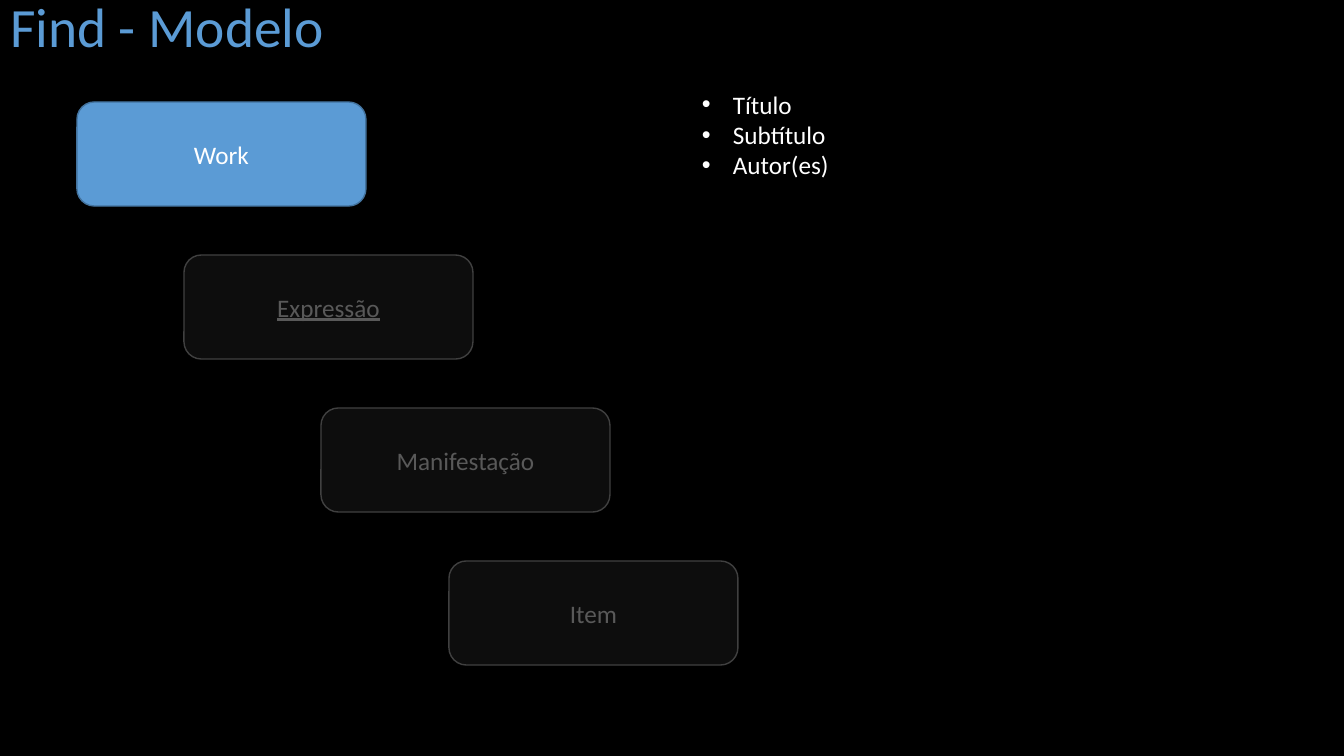
from pptx import Presentation
from pptx.dml.color import RGBColor
from pptx.enum.shapes import MSO_SHAPE
from pptx.enum.text import MSO_ANCHOR, MSO_AUTO_SIZE, PP_ALIGN
from pptx.util import Pt
from lxml.etree import SubElement
from pptx.oxml.ns import qn

PX = 914400 / 100.8
COLORS = {"black": "000000", "blue": "5B9BD5", "blue_line": "43739E", "white": "FFFFFF",
          "dim_fill": "0D0D0D", "dim_line": "404040", "dim_text": "595959"}


def px(*lengths):
    return [round(n * PX) for n in lengths]


def add_run(p, text, size, color):
    r = p.add_run()
    r.text = text
    r.font.name = "Calibri"
    r.font.size = Pt(size)
    r.font.color.rgb = RGBColor.from_string(COLORS[color])
    return r


prs = Presentation()
prs.slide_width, prs.slide_height = px(1344, 756)
s = prs.slides.add_slide(prs.slide_layouts[5])
s.background.fill.solid()
s.background.fill.fore_color.rgb = RGBColor.from_string(COLORS["black"])

# Title
title = s.shapes.title
title.left, title.top, title.width, title.height = px(0, 0, 1344, 59)
tf = title.text_frame
tf.auto_size = MSO_AUTO_SIZE.NONE
tf.vertical_anchor = MSO_ANCHOR.MIDDLE
p = tf.paragraphs[0]
p.alignment = PP_ALIGN.LEFT
p.line_spacing = 0.9
add_run(p, "Find - Modelo", 39.6, "blue")

# Staircase of model levels, with the first one highlighted
active = ("blue", "blue_line", "white")
dimmed = ("dim_fill", "dim_line", "dim_text")
levels = [("Work", 77, active), ("Expressão", 184, dimmed),
          ("Manifestação", 321, dimmed), ("Item", 449, dimmed)]
for i, (name, left, (fill, line, text)) in enumerate(levels):
    sp = s.shapes.add_shape(MSO_SHAPE.ROUNDED_RECTANGLE, *px(left, 102 + 153 * i, 289, 104))
    sp.shadow.inherit = False
    sp.fill.solid()
    sp.fill.fore_color.rgb = RGBColor.from_string(COLORS[fill])
    sp.line.color.rgb = RGBColor.from_string(COLORS[line])
    sp.line.width = Pt(1)
    tf = sp.text_frame
    tf.vertical_anchor = MSO_ANCHOR.MIDDLE
    p = tf.paragraphs[0]
    p.alignment = PP_ALIGN.CENTER
    r = add_run(p, name, 18, text)
    if name == "Expressão":
        r.font.underline = True

# Attributes of the highlighted level
tf = s.shapes.add_textbox(*px(692, 84, 579, 102)).text_frame
tf.word_wrap = True
tf.auto_size = MSO_AUTO_SIZE.SHAPE_TO_FIT_TEXT
indent = px(31)[0]
for i, attribute in enumerate(["Título", "Subtítulo", "Autor(es)"]):
    p = tf.add_paragraph() if i else tf.paragraphs[0]
    pPr = p._p.get_or_add_pPr()
    pPr.set("marL", str(indent))
    pPr.set("indent", str(-indent))
    SubElement(pPr, qn("a:buFont")).set("typeface", "Arial")
    SubElement(pPr, qn("a:buChar")).set("char", "•")
    add_run(p, attribute, 18, "white")

prs.save("out.pptx")
